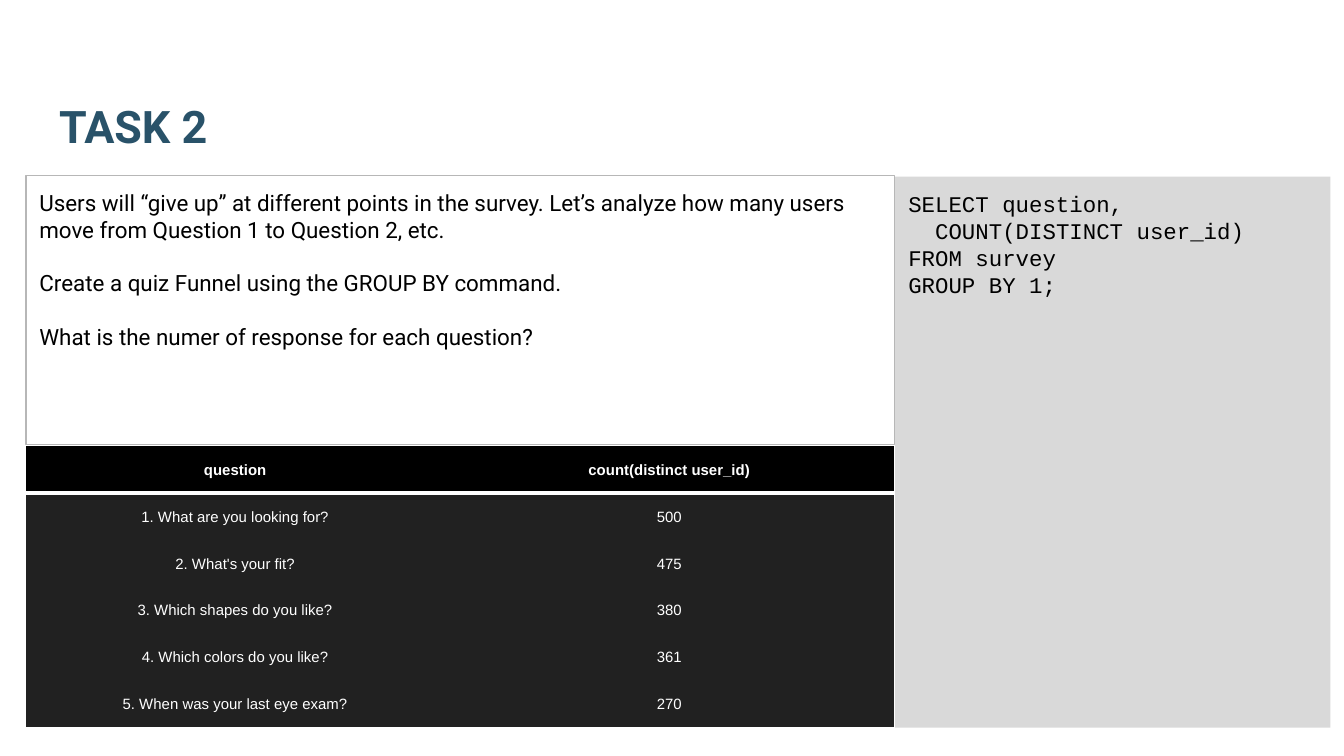
import pptx
import pptx.dml.color
import pptx.enum.shapes
import pptx.enum.text
import pptx.oxml
import pptx.oxml.ns
import pptx.util

Pt = pptx.util.Pt
RGBColor = pptx.dml.color.RGBColor
Anchor = pptx.enum.text.MSO_ANCHOR
Align = pptx.enum.text.PP_ALIGN

TEAL = RGBColor(0x29, 0x52, 0x69)
BLACK = RGBColor(0, 0, 0)
WHITE = RGBColor(255, 255, 255)
CHARCOAL = RGBColor(0x21, 0x21, 0x21)
PALE_GREY = RGBColor(0xD9, 0xD9, 0xD9)
MID_GREY = RGBColor(0xB7, 0xB7, 0xB7)

WIDTH = pptx.util.Inches(10)
HEIGHT = WIDTH * 9 // 16
COLUMN, ROW = WIDTH / 100, HEIGHT / 100  # grid of 100 columns by 100 rows
INSET = pptx.util.Inches(0.1)
CELL_INSET = pptx.util.Inches(0.01)
NO_STYLE = "{2D5ABB26-0587-4C30-8999-92F81FD0307C}"

# Boxes in grid units: left, top, width, height
TITLE_BOX = (3.4, 5.65, 93.2, 16.3)
BRIEF_BOX = (1.95, 23.2, 64.6, 35.56)
QUERY_BOX = (66.6, 23.36, 32.4, 72.89)
RESULT_BOX = (1.95, 59.02, 64.6, 37.2)

BRIEF = [
    "Users will “give up” at different points in the survey. Let’s analyze "
    "how many users move from Question 1 to Question 2, etc.",
    "Create a quiz Funnel using the GROUP BY command.",
    "What is the numer of response for each question?",
]
QUERY = ["SELECT question,", "COUNT(DISTINCT user_id)", "FROM survey", "GROUP BY 1;"]
RESULTS = [
    ("question", "count(distinct user_id)"),
    ("1. What are you looking for?", "500"),
    ("2. What's your fit?", "475"),
    ("3. Which shapes do you like?", "380"),
    ("4. Which colors do you like?", "361"),
    ("5. When was your last eye exam?", "270"),
]


def on_grid(box):
    left, top, width, height = box
    return [round(n) for n in (left * COLUMN, top * ROW, width * COLUMN, height * ROW)]


def apply(target, values):
    for name, value in values.items():
        setattr(target, name, value)


def write(frame, lines, face, size, color, bold=False, align=Align.LEFT, gap=0):
    """Fill a text frame with one paragraph per line."""
    frame.text = "\n".join(lines)
    for paragraph in frame.paragraphs:
        apply(paragraph, {"alignment": align, "space_after": Pt(gap)})
        for run in paragraph.runs:
            apply(run.font, {"name": face, "size": Pt(size), "bold": bold})
            run.font.color.rgb = color


def set_frame(frame, anchor):
    apply(frame, {
        "word_wrap": True, "auto_size": pptx.enum.text.MSO_AUTO_SIZE.NONE,
        "vertical_anchor": anchor, "margin_left": INSET, "margin_right": INSET,
        "margin_top": INSET, "margin_bottom": INSET,
    })


def add_panel(slide, box):
    panel = slide.shapes.add_shape(pptx.enum.shapes.MSO_SHAPE.RECTANGLE, *on_grid(box))
    panel.shadow.inherit = False
    set_frame(panel.text_frame, Anchor.TOP)
    return panel


def place_title(slide, box):
    title = slide.shapes.title
    apply(title, dict(zip(("left", "top", "width", "height"), on_grid(box))))
    set_frame(title.text_frame, Anchor.BOTTOM)
    write(title.text_frame, ["TASK 2"], "Roboto", 24, TEAL, bold=True)


def place_brief(slide, box):
    brief = add_panel(slide, box)
    brief.fill.background()
    brief.line.color.rgb = MID_GREY
    brief.line.width = Pt(0.75)
    write(brief.text_frame, BRIEF, "Roboto", 12, BLACK, gap=14.4)


def place_query(slide, box):
    query = add_panel(slide, box)
    query.fill.solid()
    query.fill.fore_color.rgb = PALE_GREY
    query.line.fill.background()
    write(query.text_frame, QUERY, "Courier New", 12, BLACK)
    # The second line of the statement is indented by two characters
    count_line = query.text_frame.paragraphs[1]
    count_line._p.get_or_add_pPr().set("marL", str(Pt(14.4)))


def add_bottom_rule(cell, color, width):
    rule = pptx.oxml.parse_xml(
        f'<a:lnB {pptx.oxml.ns.nsdecls("a")} w="{Pt(width)}"><a:solidFill>'
        f'<a:srgbClr val="{color}"/></a:solidFill></a:lnB>')
    cell._tc.get_or_add_tcPr().insert(0, rule)


def place_results(slide, box):
    left, top, width, height = on_grid(box)
    frame = slide.shapes.add_table(len(RESULTS), 2, left, top, width, height)
    table = frame.table
    table._tbl.tblPr.find(pptx.oxml.ns.qn("a:tableStyleId")).text = NO_STYLE
    apply(table, {"first_row": False, "horz_banding": False})
    question_width = round(31.1 * COLUMN)
    table.columns[0].width = question_width
    table.columns[1].width = width - question_width

    for r, record in enumerate(RESULTS):
        header = r == 0
        table.rows[r].height = round(height / len(RESULTS))
        for c, value in enumerate(record):
            cell = table.cell(r, c)
            apply(cell, {
                "vertical_anchor": Anchor.MIDDLE, "margin_left": CELL_INSET,
                "margin_right": CELL_INSET, "margin_top": CELL_INSET, "margin_bottom": 0,
            })
            cell.fill.solid()
            cell.fill.fore_color.rgb = BLACK if header else CHARCOAL
            write(cell.text_frame, [value], "Arial", 8, WHITE, header, Align.CENTER)
            if header:
                add_bottom_rule(cell, WHITE, 2)


def main():
    deck = pptx.Presentation()
    apply(deck, {"slide_width": WIDTH, "slide_height": HEIGHT})
    slide = deck.slides.add_slide(deck.slide_layouts.get_by_name("Title Only"))
    place_title(slide, TITLE_BOX)
    place_query(slide, QUERY_BOX)
    place_brief(slide, BRIEF_BOX)
    place_results(slide, RESULT_BOX)
    deck.save("out.pptx")


if __name__ == "__main__":
    main()
